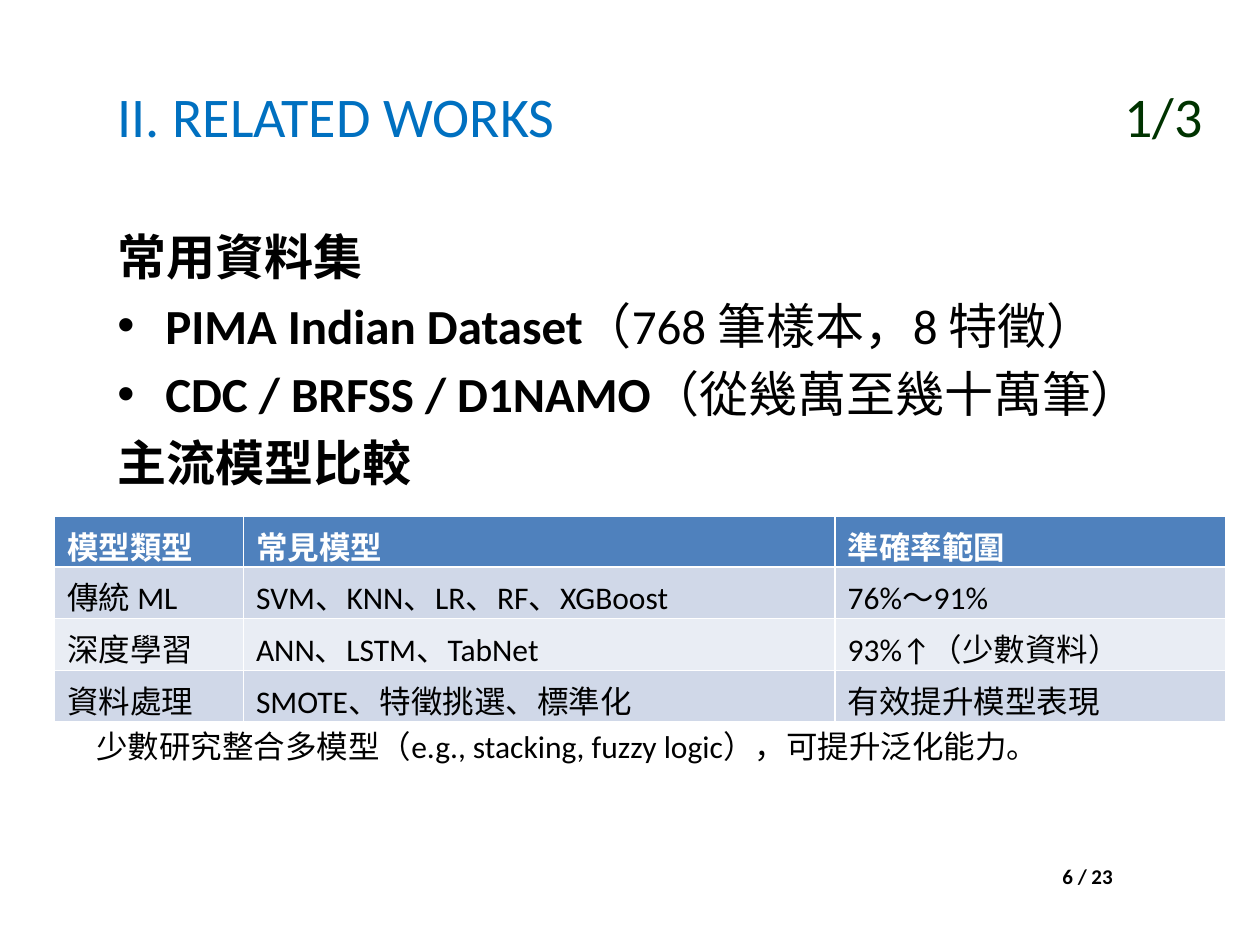
from lxml.etree import SubElement
from pptx import Presentation
from pptx.dml.color import RGBColor
from pptx.enum.text import MSO_ANCHOR
from pptx.oxml.ns import qn
from pptx.util import Inches, Pt

W, H = Inches(10), Inches(7.5)
COL, ROW = W / 120, H / 180
BLACK, WHITE, BLUE, GREEN = "000000", "FFFFFF", "0070C0", "003300"
HEADER_FILL, BAND_FILLS = "4F81BD", ("D0D8E8", "E9EDF4")

# Each body line: bulleted or not, then (text, bold) runs
BODY = [
    (False, [("常用資料集", True)]),
    (True, [("PIMA Indian Dataset", True), ("（768 筆樣本，8 特徵）", False)]),
    (True, [("CDC / BRFSS / D1NAMO", True), ("（從幾萬至幾十萬筆）", False)]),
    (False, [("主流模型比較", True)]),
]
MODELS = [
    ("模型類型", "常見模型", "準確率範圍"),
    ("傳統 ML", "SVM、KNN、LR、RF、XGBoost", "76%～91%"),
    ("深度學習", "ANN、LSTM、TabNet", "93%↑（少數資料）"),
    ("資料處理", "SMOTE、特徵挑選、標準化", "有效提升模型表現"),
]
COL_SHARES = (1.5, 4.7, 3.1)
ROW_SHARES = (0.39, 0.41, 0.41, 0.41)


def rgb(value):
    return RGBColor.from_string(value)


def grid(left, top, width, height):
    """Turn grid columns and rows into slide lengths."""
    return [round(n * unit) for n, unit in
            zip((left, top, width, height), (COL, ROW, COL, ROW))]


def add_run(p, text, size, color=BLACK, bold=False):
    r = p.add_run()
    r.text = text
    r.font.name = "Calibri"
    r.font.size = Pt(size)
    r.font.bold = bold
    r.font.color.rgb = rgb(color)


def add_text_frame(s, box, anchor=MSO_ANCHOR.TOP):
    tf = s.shapes.add_textbox(*box).text_frame
    tf.word_wrap = True
    tf.vertical_anchor = anchor
    return tf


def add_title(s, box, title, counter):
    p = add_text_frame(s, box, MSO_ANCHOR.MIDDLE).paragraphs[0]
    # Right tab at the inner edge holds the counter
    tabs = SubElement(p._p.get_or_add_pPr(), qn("a:tabLst"))
    SubElement(tabs, qn("a:tab"), pos=str(box[2] - Inches(0.22)), algn="r")
    add_run(p, title + "\t", 32, BLUE)
    add_run(p, counter, 32, GREEN)


def add_bullet(p, indent):
    pPr = p._p.get_or_add_pPr()
    pPr.set("marL", str(indent))
    pPr.set("indent", str(-indent))
    SubElement(pPr, qn("a:buFont"), typeface="Arial")
    SubElement(pPr, qn("a:buChar"), char="•")


def add_body(s, box, lines):
    tf = add_text_frame(s, box)
    for i, (bulleted, runs) in enumerate(lines):
        p = tf.add_paragraph() if i else tf.paragraphs[0]
        if bulleted:
            add_bullet(p, Inches(0.38))
        if i:
            p.space_before = Pt(5.6)
        for text, bold in runs:
            add_run(p, text, 28, bold=bold)


def add_models_table(s, box, rows):
    table = s.shapes.add_table(len(rows), len(rows[0]), *box).table
    for column, share in zip(table.columns, COL_SHARES):
        column.width = round(box[2] * share / sum(COL_SHARES))
    for i, (row, share) in enumerate(zip(rows, ROW_SHARES)):
        table.rows[i].height = round(box[3] * share / sum(ROW_SHARES))
        header = i == 0
        for j, text in enumerate(row):
            cell = table.cell(i, j)
            cell.fill.solid()
            cell.fill.fore_color.rgb = rgb(
                HEADER_FILL if header else BAND_FILLS[(i - 1) % 2])
            cell.vertical_anchor = MSO_ANCHOR.TOP if header else MSO_ANCHOR.MIDDLE
            add_run(cell.text_frame.paragraphs[0], text, 18,
                    WHITE if header else BLACK, header)


def add_line(s, box, text, size, bold=False):
    add_run(add_text_frame(s, box).paragraphs[0], text, size, bold=bold)


def main():
    prs = Presentation()
    prs.slide_width, prs.slide_height = W, H
    s = prs.slides.add_slide(prs.slide_layouts[6])

    add_title(s, grid(10, 7, 106, 30), "II. RELATED WORKS", "1/3")
    add_body(s, grid(10, 42, 106, 112.8), BODY)
    # Page number
    add_line(s, grid(100, 163.4, 16.7, 7.2), "6 / 23", 12, bold=True)
    add_models_table(s, grid(5.2, 98.4, 111.5, 38.9), MODELS)
    # Note below the table
    add_line(s, grid(8, 137.3, 102, 9.6),
             "少數研究整合多模型（e.g., stacking, fuzzy logic），可提升泛化能力。", 18)

    prs.save("out.pptx")


if __name__ == "__main__":
    main()
